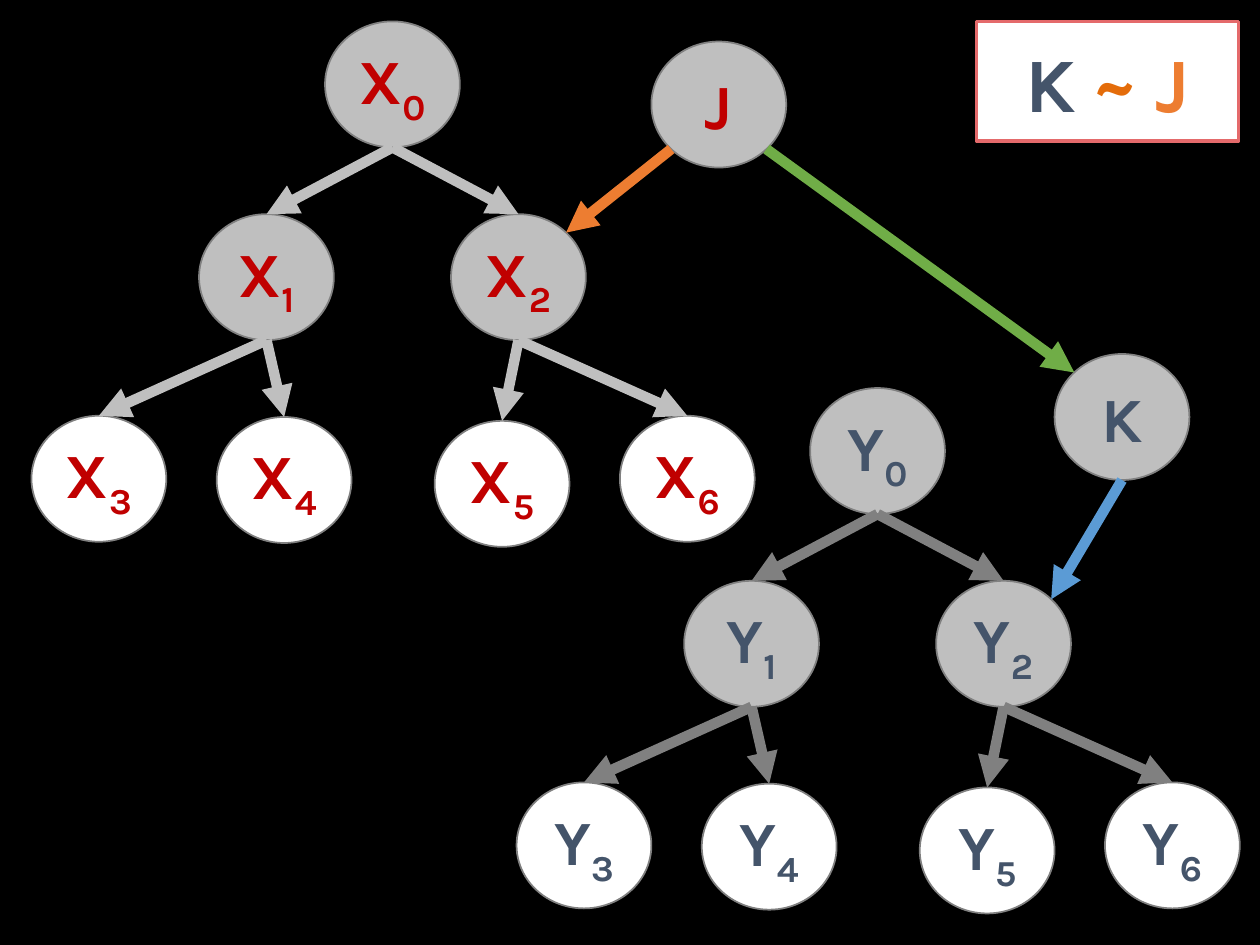
from math import cos, radians, sin

from lxml import etree
from pptx import Presentation
from pptx.dml.color import RGBColor
from pptx.enum.shapes import MSO_CONNECTOR as Connector, MSO_SHAPE as Shape
from pptx.enum.text import MSO_ANCHOR as Anchor, PP_ALIGN as Align
from pptx.oxml.ns import qn
from pptx.util import Inches, Pt

BLACK, WHITE, SILVER, GRAY = "000000", "FFFFFF", "BFBFBF", "808080"
RED, SLATE, ORANGE, GREEN, BLUE = "C00000", "44546A", "ED7D31", "70AD47", "5B9BD5"
NODE_WIDTH, NODE_HEIGHT = 1.07, 1
# Node offsets in a tree; the parent of node i is node (i - 1) // 2
TREE_OFFSETS = [(2.33, 0), (1.33, 1.53), (3.33, 1.53),
                (0, 3.13), (1.47, 3.14), (3.2, 3.17), (4.67, 3.13)]
INNER_NODES = 3
# Angles on a node outline, clockwise from the right
BOTTOM_RIGHT, BOTTOM, BOTTOM_LEFT, TOP_LEFT, TOP_RIGHT = 45, 90, 135, 225, 315


def color(hex_code):
    return RGBColor.from_string(hex_code)


def add_label_shape(slide, kind, box, fill, outline, line_width, size, runs):
    """Filled shape with a centred label; each run is (text, color, baseline)."""
    shape = slide.shapes.add_shape(kind, *map(Inches, box))
    shape.shadow.inherit = False
    shape.fill.solid()
    shape.fill.fore_color.rgb = color(fill)
    shape.line.color.rgb = color(outline)
    shape.line.width = Pt(line_width)
    shape.text_frame.vertical_anchor = Anchor.MIDDLE
    label = shape.text_frame.paragraphs[0]
    label.alignment = Align.CENTER
    font_format = {"name": "Karla", "size": Pt(size), "bold": True}
    for text, text_color, baseline in runs:
        run = label.add_run()
        run.text = text
        for attribute, value in font_format.items():
            setattr(run.font, attribute, value)
        run.font.color.rgb = color(text_color)
        if baseline:
            run.font._element.set("baseline", str(baseline))
    return shape


def add_node(slide, left, top, fill, text_color, letter, index=""):
    runs = [(letter, text_color, 0)]
    if index:
        runs.append((index, text_color, -25000))
    return add_label_shape(slide, Shape.OVAL, (left, top, NODE_WIDTH, NODE_HEIGHT),
                           fill, GRAY, 1, 36, runs)


def rim_point(node, angle):
    """Point on the outline of a node."""
    x = node.left + node.width / 2 * (1 + cos(radians(angle)))
    y = node.top + node.height / 2 * (1 + sin(radians(angle)))
    return round(x), round(y)


def add_arrow(slide, start, end, line_color):
    arrow = slide.shapes.add_connector(Connector.STRAIGHT, *start, *end)
    arrow.line.color.rgb = color(line_color)
    arrow.line.width = Pt(6)
    etree.SubElement(arrow.line._get_or_add_ln(), qn("a:tailEnd"), type="triangle")
    etree.SubElement(arrow._element.spPr, qn("a:effectLst"))
    return arrow


def add_tree(slide, left, top, letter, text_color, edge_color):
    """Binary tree of seven nodes, placed from its top-left corner."""
    nodes = [
        add_node(slide, left + dx, top + dy, SILVER if i < INNER_NODES else WHITE,
                 text_color, letter, str(i))
        for i, (dx, dy) in enumerate(TREE_OFFSETS)
    ]
    for i, child in enumerate(nodes[1:], 1):
        start = rim_point(nodes[(i - 1) // 2], BOTTOM)
        edge = add_arrow(slide, start, (child.left, child.top), edge_color)
        edge.end_connect(child, 0)
    return nodes


def add_relation(slide, box):
    """Framed statement that K follows J."""
    add_label_shape(slide, Shape.RECTANGLE, box, WHITE, "E46A6B", 2, 44,
                    [("K ", SLATE, 0), ("~ ", "E46C0A", 0), ("J", ORANGE, 0)])


def main():
    presentation = Presentation()
    presentation.slide_width, presentation.slide_height = Inches(10), Inches(7.5)
    slide = presentation.slides.add_slide(presentation.slide_layouts[6])
    slide.background.fill.solid()
    slide.background.fill.fore_color.rgb = color(BLACK)

    # The two trees
    x_nodes = add_tree(slide, 0.25, 0.17, "X", RED, SILVER)
    y_nodes = add_tree(slide, 4.1, 3.08, "Y", SLATE, GRAY)

    # Outside nodes and their links into the trees
    j_node = add_node(slide, 5.17, 0.33, SILVER, RED, "J")
    k_node = add_node(slide, 8.37, 2.81, SILVER, SLATE, "K")
    links = [
        (j_node, BOTTOM_LEFT, x_nodes[2], TOP_RIGHT, ORANGE),
        (k_node, BOTTOM, y_nodes[2], TOP_RIGHT, BLUE),
        (j_node, BOTTOM_RIGHT, k_node, TOP_LEFT, GREEN),
    ]
    for source, source_angle, target, target_angle, link_color in links:
        add_arrow(slide, rim_point(source, source_angle),
                  rim_point(target, target_angle), link_color)

    add_relation(slide, (7.75, 0.17, 2.08, 0.95))
    presentation.save("out.pptx")


if __name__ == "__main__":
    main()
